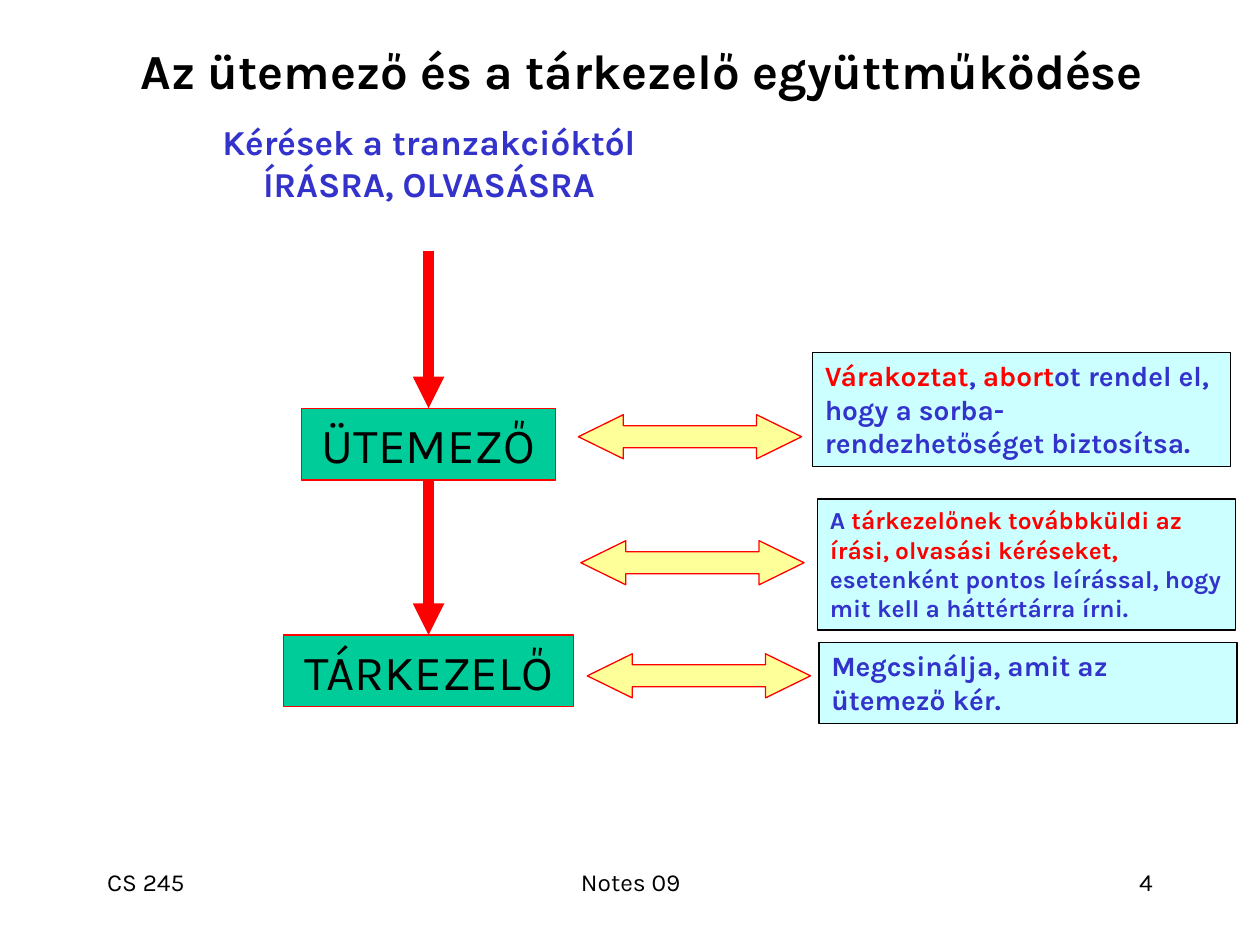
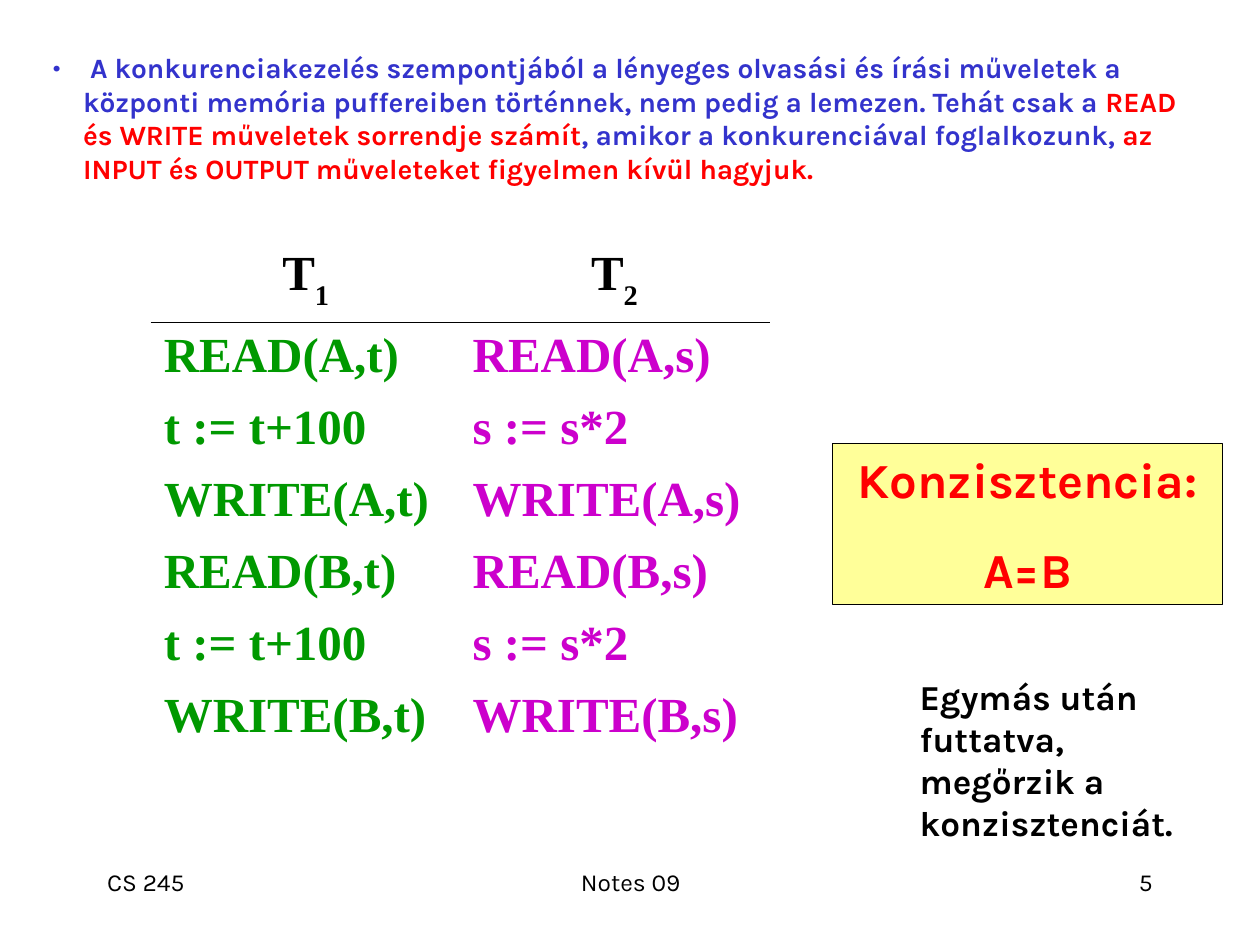
from dataclasses import dataclass

from lxml.etree import SubElement
from pptx import Presentation
from pptx.dml.color import RGBColor
from pptx.enum.shapes import MSO_CONNECTOR as Link, MSO_SHAPE as Shape
from pptx.enum.text import MSO_ANCHOR as Anchor, MSO_AUTO_SIZE as AutoSize, PP_ALIGN as Align
from pptx.oxml import parse_xml
from pptx.oxml.ns import nsdecls, qn
from pptx.util import Cm, Pt


@dataclass(frozen=True)
class Theme:
    font: str = "Karla"
    table_font: str = "Times New Roman"
    black: str = "000000"
    blue: str = "3333CC"
    red: str = "FF0000"
    green: str = "009900"
    purple: str = "CC00CC"
    teal: str = "00CC99"
    pale_blue: str = "CCFFFF"
    yellow: str = "FFFF99"
    heading: float = 28
    label: float = 20
    note: float = 16
    small_note: float = 14
    footer: float = 14
    outline: float = 0.75
    flow_line: float = 6


THEME = Theme()
SPINE = 8.64
FOOTERS = [
    ("CS 245", 1.91, 5.28, Align.LEFT),
    ("Notes 09", 8.69, 8.05, Align.CENTER),
    ("{number}", 18.21, 5.28, Align.RIGHT),
]


def rgb(color):
    return RGBColor.from_string(color)


def add_span(para, text, color, size, bold=True, font=THEME.font):
    span = para.add_run()
    span.text = text
    span.font.name = font
    span.font.size = Pt(size)
    span.font.bold = bold
    span.font.color.rgb = rgb(color)
    return span


def write(box, paras, size, align=Align.LEFT, bold=True, anchor=Anchor.TOP, wrap=True, gap=0):
    frame = box.text_frame
    frame.word_wrap = wrap
    frame.auto_size = AutoSize.NONE
    frame.vertical_anchor = anchor
    for index, spans in enumerate(paras):
        para = frame.add_paragraph() if index else frame.paragraphs[0]
        para.alignment = align
        if index:
            para.space_before = Pt(gap)
        for text, color in spans:
            add_span(para, text, color, size, bold)


def place(box, left, top, width, height):
    box.left, box.top, box.width, box.height = Cm(left), Cm(top), Cm(width), Cm(height)


def add_label(page, bounds, text, size, color, **style):
    box = page.shapes.add_textbox(*map(Cm, bounds))
    write(box, [[(text, color)]], size, **style)


def add_panel(page, kind, bounds, fill, line):
    panel = page.shapes.add_shape(kind, *map(Cm, bounds))
    panel.shadow.inherit = False
    panel.fill.solid()
    panel.fill.fore_color.rgb = rgb(fill)
    panel.line.color.rgb = rgb(line)
    panel.line.width = Pt(THEME.outline)
    return panel


def add_component(page, name, top, width):
    bounds = (SPINE - width / 2, top, width, 1.45)
    panel = add_panel(page, Shape.RECTANGLE, bounds, THEME.teal, THEME.red)
    write(panel, [[(name, THEME.black)]], THEME.heading, Align.CENTER,
          bold=False, anchor=Anchor.MIDDLE, wrap=False)
    return panel


def add_note(page, bounds, spans, size):
    panel = add_panel(page, Shape.RECTANGLE, bounds, THEME.pale_blue, THEME.black)
    write(panel, [spans], size)


def add_double_arrow(page, left, top):
    arrow = add_panel(page, Shape.LEFT_RIGHT_ARROW, (left, top, 4.5, 0.89), THEME.yellow, THEME.red)
    arrow.adjustments[0], arrow.adjustments[1] = 0.5, 1.02


def add_flow(page, target, source=None, top=0):
    flow = page.shapes.add_connector(Link.STRAIGHT, Cm(SPINE), Cm(top), Cm(SPINE), target.top)
    if source is not None:
        flow.begin_connect(source, 2)
    flow.end_connect(target, 0)
    flow.line.color.rgb = rgb(THEME.red)
    flow.line.width = Pt(THEME.flow_line)
    SubElement(flow.line._get_or_add_ln(), qn("a:tailEnd"), type="triangle")
    SubElement(flow._element.spPr, qn("a:effectLst"))


def add_page(deck, number):
    page = deck.slides.add_slide(deck.slide_layouts[5])
    for text, left, width, align in FOOTERS:
        add_label(page, (left, 17.35, width, 1.27), text.format(number=number),
                  THEME.footer, THEME.black, align=align, bold=False)
    return page


def add_border(cell, side):
    cell._tc.get_or_add_tcPr().insert(0, parse_xml(
        f'<a:{side} {nsdecls("a")} w="5715"><a:solidFill>'
        f'<a:srgbClr val="{THEME.black}"/></a:solidFill></a:{side}>'))


def add_schedule(page, transactions):
    row_count = len(transactions[0][1]) + 1
    frame = page.shapes.add_table(row_count, len(transactions), Cm(3.05), Cm(4.85),
                                  Cm(12.45), Cm(1.65 + 1.45 * (row_count - 1)))
    table = frame.table
    table.first_row = table.horz_banding = False
    for index, row in enumerate(table.rows):
        row.height = Cm(1.45 if index else 1.65)
    for column, (color, steps) in enumerate(transactions):
        for row in range(row_count):
            cell = table.cell(row, column)
            cell.fill.background()
            para = cell.text_frame.paragraphs[0]
            para.alignment = Align.JUSTIFY if row else Align.CENTER
            style = (THEME.heading, True, THEME.table_font)
            if row:
                add_span(para, steps[row - 1], color, *style)
            else:
                add_span(para, "T", THEME.black, *style)
                subscript = add_span(para, str(column + 1), THEME.black, *style)
                subscript._r.get_or_add_rPr().set("baseline", "-30000")
        add_border(table.cell(0, column), "lnB")
        add_border(table.cell(1, column), "lnT")


def set_bullet(para, color):
    props = para._p.get_or_add_pPr()
    props.set("marL", str(Cm(0.61)))
    props.set("indent", str(-Cm(0.61)))
    tint = SubElement(props, qn("a:buClr"))
    SubElement(tint, qn("a:srgbClr"), val=color)
    SubElement(props, qn("a:buFont"), typeface=THEME.font)
    SubElement(props, qn("a:buChar"), char="•")


def build_cooperation(deck):
    page = add_page(deck, 4)
    title = page.shapes.title
    place(title, 1.57, 0.69, 22.73, 1.45)
    write(title, [[("Az ütemező és a tárkezelő együttműködése", THEME.black)]],
          THEME.heading, Align.CENTER, anchor=Anchor.MIDDLE)
    add_label(page, (4.14, 2.31, 9.02, 2.79), "Kérések a tranzakcióktól ÍRÁSRA, OLVASÁSRA",
              THEME.label, THEME.blue, align=Align.CENTER)
    scheduler = add_component(page, "ÜTEMEZŐ", 8.23, 5.11)
    storage = add_component(page, "TÁRKEZELŐ", 12.8, 5.84)
    add_flow(page, scheduler, top=5.05)
    add_flow(page, storage, source=scheduler)
    for left, top in [(11.66, 8.36), (11.71, 10.9), (11.84, 13.18)]:
        add_double_arrow(page, left, top)
    add_note(page, (16.38, 7.11, 8.43, 2.29), [
        ("Várakoztat", THEME.red), (", ", THEME.blue), ("abort", THEME.red),
        ("ot rendel el, hogy a sorba- rendezhetőséget biztosítsa.", THEME.blue)], THEME.note)
    add_note(page, (16.48, 10.06, 8.43, 2.64), [
        ("A ", THEME.blue),
        ("tárkezelőnek továbbküldi az írási, olvasási kéréseket, ", THEME.red),
        ("esetenként pontos leírással, hogy mit kell a háttértárra írni.", THEME.blue)],
        THEME.small_note)
    add_note(page, (16.51, 12.95, 8.43, 1.63),
             [("Megcsinálja, amit az ütemező kér.", THEME.blue)], THEME.note)


def build_consistency(deck):
    page = add_page(deck, 5)
    title = page.shapes.title
    place(title, 0.81, 1.02, 23.55, 3.18)
    set_bullet(title.text_frame.paragraphs[0], THEME.blue)
    title.text_frame.margin_top = 0
    write(title, [[
        (" A konkurenciakezelés szempontjából a lényeges olvasási és írási műveletek a központi "
         "memória puffereiben történnek, nem pedig a lemezen. Tehát csak a ", THEME.blue),
        ("READ és WRITE műveletek sorrendje számít", THEME.red),
        (", amikor a konkurenciával foglalkozunk, ", THEME.blue),
        ("az INPUT és OUTPUT műveleteket figyelmen kívül hagyjuk.", THEME.red)]], THEME.note)
    add_schedule(page, [
        (color, [step for item in "AB"
                 for step in (f"READ({item},{local})", change, f"WRITE({item},{local})")])
        for color, local, change in [(THEME.green, "t", "t := t+100"),
                                     (THEME.purple, "s", "s := s*2")]])
    rule = add_panel(page, Shape.RECTANGLE, (16.79, 8.94, 7.85, 3.25), THEME.yellow, THEME.black)
    write(rule, [[("Konzisztencia:", THEME.red)], [("A=B", THEME.red)]],
          THEME.heading, Align.CENTER, gap=17.5)
    add_label(page, (18.29, 13.49, 6.38, 3.66),
              "Egymás után futtatva, megőrzik a konzisztenciát.", THEME.label, THEME.black)


def main():
    deck = Presentation()
    deck.slide_width, deck.slide_height = Cm(25.4), Cm(19.05)
    build_cooperation(deck)
    build_consistency(deck)
    deck.save("out.pptx")


if __name__ == "__main__":
    main()
